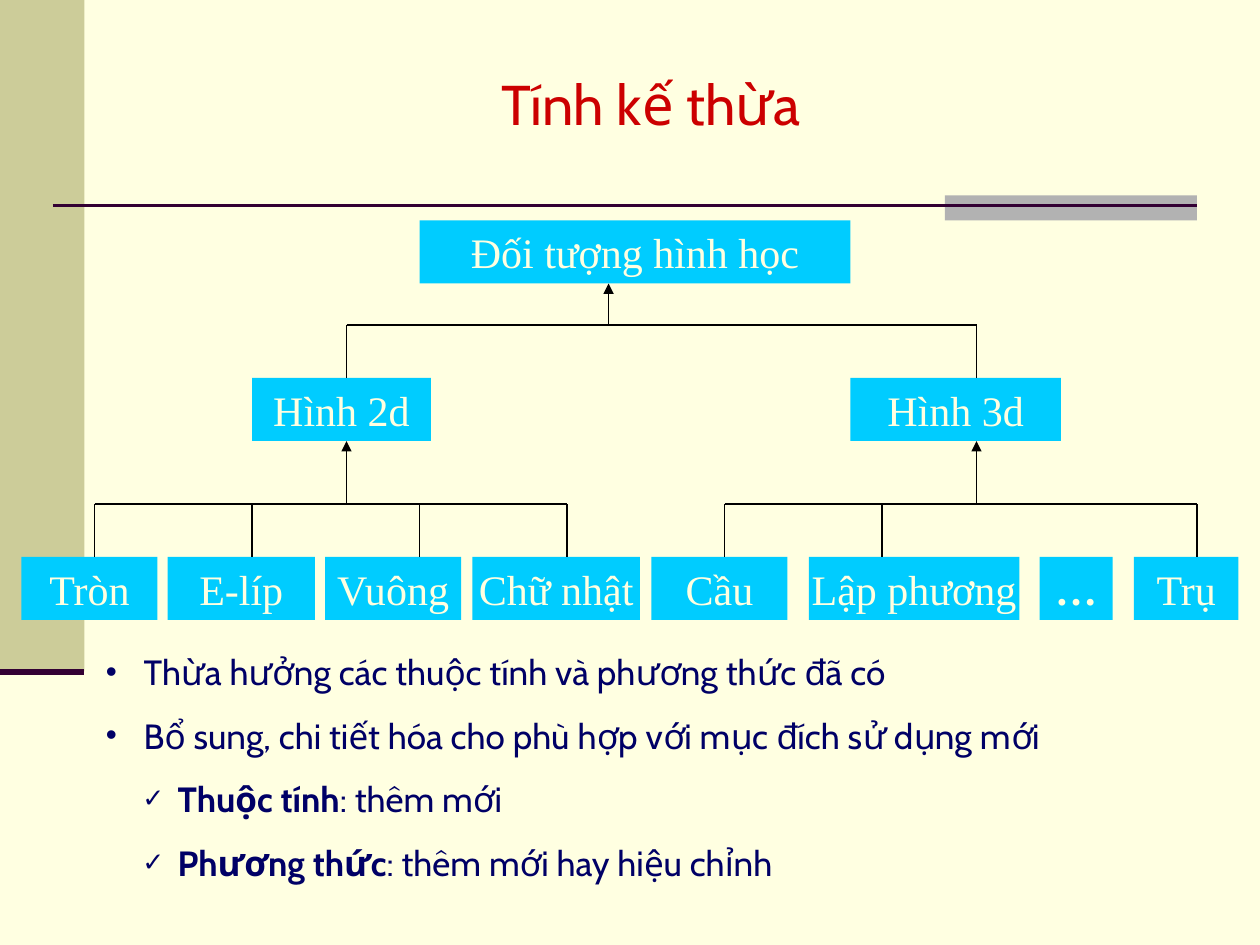
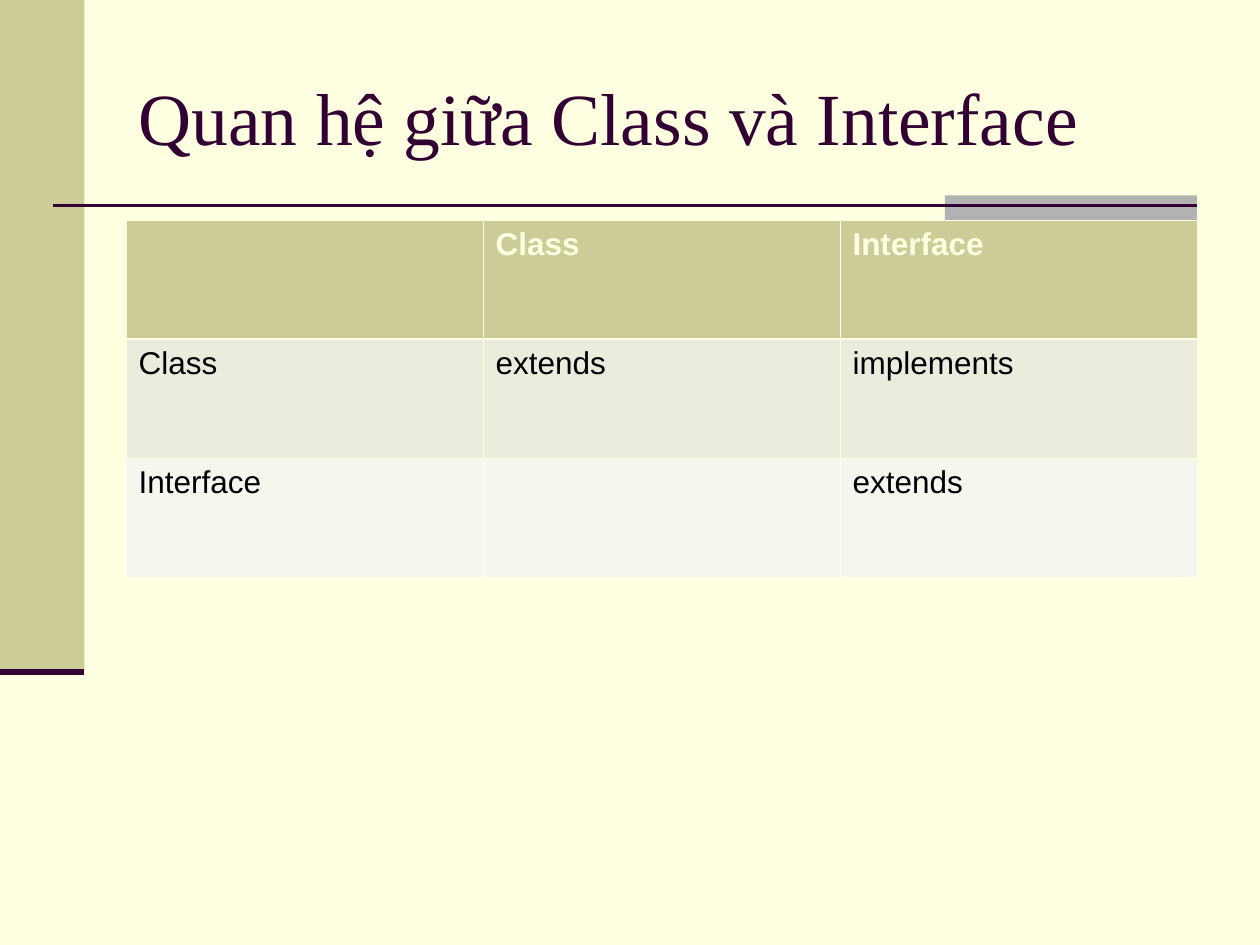
import lxml.etree
import pptx
import pptx.dml.color
import pptx.enum.shapes
import pptx.enum.text
import pptx.oxml.ns
import pptx.util

Inches = pptx.util.Inches
Pt = pptx.util.Pt
Align = pptx.enum.text.PP_ALIGN
Anchor = pptx.enum.text.MSO_ANCHOR
qn = pptx.oxml.ns.qn

COLOURS = {
    "cream": "FFFFE1",
    "olive": "CCCC99",
    "grey": "B2B2B2",
    "plum": "330033",
    "red": "CC0000",
    "cyan": "00CCFF",
    "navy": "000066",
    "black": "000000",
    "row_dark": "ECECDE",
    "row_light": "F6F6EF",
}
SERIF, SANS, TABLE_FONT = "Times New Roman", "Cabin", "Arial"

# Class tree: text, left, width
ROOT = ("Đối tượng hình học", 3.33, 3.42)
GROUPS = [("Hình 2d", 2, 1.42), ("Hình 3d", 6.75, 1.67)]
LEAVES = [
    ("Tròn", 0.17, 1.08), ("E-líp", 1.33, 1.17),
    ("Vuông", 2.58, 1.08), ("Chữ nhật", 3.75, 1.33),
    ("Cầu", 5.17, 1.08), ("Lập phương", 6.42, 1.67),
    ("…", 8.25, 0.58), ("Trụ", 9, 0.83),
]
ROOT_TOP, GROUP_TOP, LEAF_TOP, BOX_HEIGHT = 1.75, 3, 4.42, 0.5

# Notes: level, bold term, text
NOTES = [
    (0, "", "Thừa hưởng các thuộc tính và phương thức đã có"),
    (0, "", "Bổ sung, chi tiết hóa cho phù hợp với mục đích sử dụng mới"),
    (1, "Thuộc tính", ": thêm mới"),
    (1, "Phương thức", ": thêm mới hay hiệu chỉnh"),
]
# Bullet of each level: character, size in percent, text indent, hanging
BULLETS = [("•", 90, 0.3, 0.3), ("✓", 75, 0.57, 0.28)]

RELATIONS = [
    ["", "Class", "Interface"],
    ["Class", "extends", "implements"],
    ["Interface", "", "extends"],
]
ROW_FILLS = ["olive", "row_dark", "row_light"]


def rgb(colour):
    return pptx.dml.color.RGBColor.from_string(COLOURS[colour])


def add_child(parent, tag, **attributes):
    return lxml.etree.SubElement(parent, qn(tag), attributes)


def style_font(font, name, size, colour, bold=False):
    font.name = name
    font.size = Pt(size)
    font.bold = bold
    font.color.rgb = rgb(colour)


def place(shape, left, top, width, height):
    shape.left, shape.top = Inches(left), Inches(top)
    shape.width, shape.height = Inches(width), Inches(height)


def set_margins(text_frame, margin):
    text_frame.margin_left = text_frame.margin_right = Inches(margin)
    text_frame.margin_top = text_frame.margin_bottom = Inches(margin)


def add_block(slide, left, top, width, height, colour):
    shape = slide.shapes.add_shape(
        pptx.enum.shapes.MSO_SHAPE.RECTANGLE,
        Inches(left), Inches(top), Inches(width), Inches(height))
    shape.shadow.inherit = False
    shape.fill.solid()
    shape.fill.fore_color.rgb = rgb(colour)
    shape.line.fill.background()
    return shape


def add_line(slide, start, end, colour="black", width=0.75, arrow=False):
    connector = slide.shapes.add_connector(
        pptx.enum.shapes.MSO_CONNECTOR.STRAIGHT,
        *(Inches(value) for value in (*start, *end)))
    connector.line.color.rgb = rgb(colour)
    connector.line.width = Pt(width)
    properties = connector.element.spPr
    if arrow:
        add_child(properties.find(qn("a:ln")), "a:tailEnd", type="triangle")
    add_child(properties, "a:effectLst")


def add_frame(slide):
    """Side band, title rule and its grey block."""
    add_block(slide, 0, 0, 0.67, 5.33, "olive")
    add_block(slide, 7.5, 1.55, 2, 0.2, "grey")
    add_line(slide, (0.42, 1.63), (9.5, 1.63), "plum", 1.5)
    add_line(slide, (0, 5.33), (0.67, 5.33), "plum", 3.5)


def set_title(slide, text, position, font, size, colour, align, anchor):
    title = slide.shapes.title
    place(title, *position)
    text_frame = title.text_frame
    text_frame.text = text
    text_frame.auto_size = pptx.enum.text.MSO_AUTO_SIZE.NONE
    text_frame.vertical_anchor = anchor
    paragraph = text_frame.paragraphs[0]
    paragraph.alignment = align
    style_font(paragraph.runs[0].font, font, size, colour)


def add_class_box(slide, text, left, width, top):
    box = add_block(slide, left, top, width, BOX_HEIGHT, "cyan")
    text_frame = box.text_frame
    set_margins(text_frame, 0.01)
    text_frame.word_wrap = False
    text_frame.vertical_anchor = Anchor.MIDDLE
    text_frame.text = text
    paragraph = text_frame.paragraphs[0]
    paragraph.alignment = Align.CENTER
    style_font(paragraph.runs[0].font, SERIF, 24, "cream", bold=text == "…")


def add_branch(slide, parent_x, parent_top, bar_y, child_top, child_xs):
    """Bar over the children, a stem to each, an arrow to the parent."""
    add_line(slide, (child_xs[0], bar_y), (child_xs[-1], bar_y))
    for x in child_xs:
        add_line(slide, (x, child_top), (x, bar_y))
    add_line(slide, (parent_x, bar_y), (parent_x, parent_top + BOX_HEIGHT),
             arrow=True)


def set_bullet(paragraph, level):
    character, percent, indent, hanging = BULLETS[level]
    paragraph.level = level
    properties = paragraph._p.get_or_add_pPr()
    properties.set("marL", str(Inches(indent)))
    properties.set("indent", str(-Inches(hanging)))
    add_child(add_child(properties, "a:buClr"), "a:srgbClr",
              val=COLOURS["navy"])
    add_child(properties, "a:buSzPct", val=str(percent * 1000))
    add_child(properties, "a:buFont", typeface="Arial")
    add_child(properties, "a:buChar", char=character)


def fill_notes(body):
    place(body, 0.83, 5.15, 8.42, 1.87)
    text_frame = body.text_frame
    set_margins(text_frame, 0.01)
    text_frame.auto_size = pptx.enum.text.MSO_AUTO_SIZE.NONE
    for index, (level, term, text) in enumerate(NOTES):
        paragraph = (text_frame.add_paragraph() if index
                     else text_frame.paragraphs[0])
        set_bullet(paragraph, level)
        paragraph.space_before = Pt(12.5 if index else 0)
        for part, bold in ((term, True), (text, False)):
            if part:
                run = paragraph.add_run()
                run.text = part
                style_font(run.font, SANS, 20, "navy", bold)


def set_borders(cell, top, bottom):
    properties = cell._tc.get_or_add_tcPr()
    widths = {"a:lnL": 0.45, "a:lnR": 0.45, "a:lnT": top, "a:lnB": bottom}
    for tag, width in widths.items():
        line = add_child(properties, tag, w=str(Pt(width)))
        add_child(add_child(line, "a:solidFill"), "a:srgbClr",
                  val=COLOURS["cream"])


def add_relation_table(slide):
    rows, columns = len(RELATIONS), len(RELATIONS[0])
    table = slide.shapes.add_table(
        rows, columns, Inches(1), Inches(1.75),
        Inches(8.5), Inches(2.83)).table
    table.first_row = table.horz_banding = False
    for row, texts in enumerate(RELATIONS):
        header = row == 0
        for column, text in enumerate(texts):
            cell = table.cell(row, column)
            set_borders(cell, 1.47 if row == 1 else 0.45,
                        1.47 if header else 0.45)
            cell.fill.solid()
            cell.fill.fore_color.rgb = rgb(ROW_FILLS[row])
            if text:
                cell.text_frame.text = text
                style_font(cell.text_frame.paragraphs[0].runs[0].font,
                           TABLE_FONT, 18,
                           "cream" if header else "black", header)


def build_inheritance_slide(presentation):
    slide = presentation.slides.add_slide(presentation.slide_layouts[1])
    add_frame(slide)
    set_title(slide, "Tính kế thừa", (0.75, 0.5, 8.83, 0.64),
              SANS, 32, "red", Align.CENTER, Anchor.TOP)
    # Class tree
    levels = [(ROOT_TOP, [ROOT]), (GROUP_TOP, GROUPS), (LEAF_TOP, LEAVES)]
    for top, boxes in levels:
        for text, left, width in boxes:
            add_class_box(slide, text, left, width, top)
    add_branch(slide, 4.83, ROOT_TOP, 2.58, GROUP_TOP, [2.75, 7.75])
    add_branch(slide, 2.75, GROUP_TOP, 4, LEAF_TOP, [0.75, 2, 3.33, 4.5])
    add_branch(slide, 7.75, GROUP_TOP, 4, LEAF_TOP, [5.75, 7, 9.5])
    # Notes under the tree
    fill_notes(slide.placeholders[1])


def build_relation_slide(presentation):
    slide = presentation.slides.add_slide(presentation.slide_layouts[5])
    add_frame(slide)
    set_title(slide, "Quan hệ giữa Class và Interface", (1, 0.3, 8.5, 1.25),
              SERIF, 42, "plum", Align.LEFT, Anchor.MIDDLE)
    add_relation_table(slide)


def main():
    presentation = pptx.Presentation()
    presentation.slide_width = Inches(10)
    presentation.slide_height = Inches(7.5)
    background = presentation.slide_master.background.fill
    background.solid()
    background.fore_color.rgb = rgb("cream")
    build_inheritance_slide(presentation)
    build_relation_slide(presentation)
    presentation.save("out.pptx")


if __name__ == "__main__":
    main()
